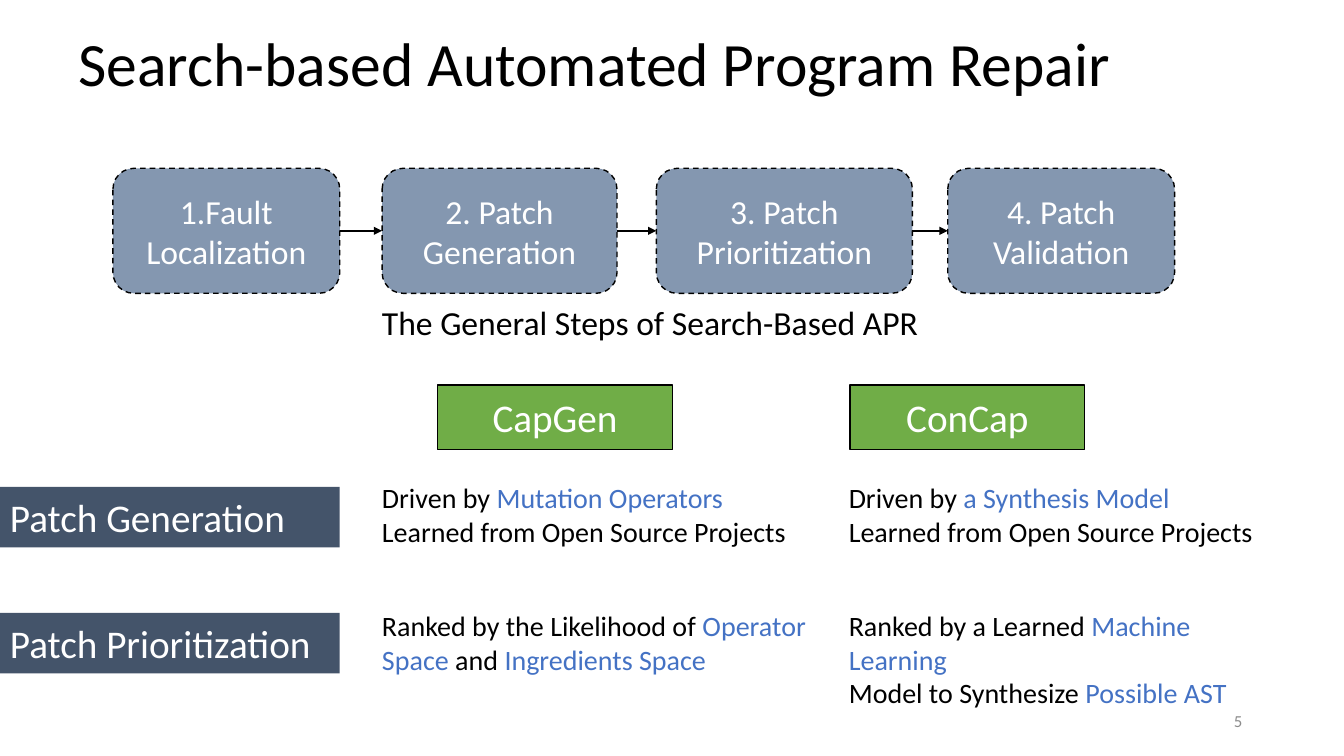
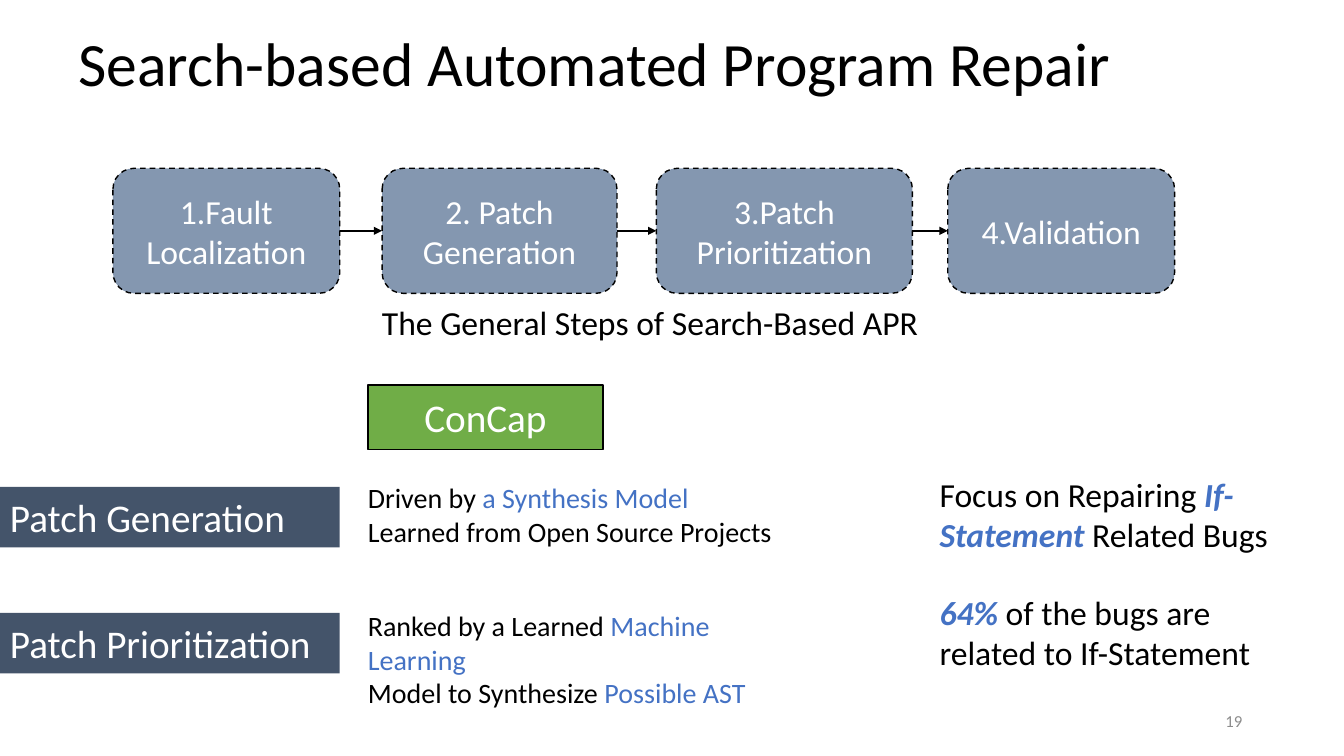
import pptx
import pptx.util
import pptx.dml.color
import pptx.enum.dml
import pptx.enum.shapes
import pptx.enum.text
import pptx.oxml
import pptx.oxml.ns

Inches = pptx.util.Inches
Pt = pptx.util.Pt
SHAPE = pptx.enum.shapes.MSO_SHAPE
ALIGN = pptx.enum.text.PP_ALIGN
MIDDLE = pptx.enum.text.MSO_ANCHOR.MIDDLE

FONT = "Calibri"
COLORS = {
    "text": "000000",
    "light": "FFFFFF",
    "accent": "4472C4",
    "step": "8497B0",
    "tool": "70AD47",
    "band": "44546A",
    "number": "8C8C8C",
}
STEPS = [(1.12, 2.25), (3.79, 2.33), (6.51, 2.54), (9.4, 2.25)]
BANDS = [(4.83, "Patch Generation"), (6.08, "Patch Prioritization")]
ROWS = [4.72, 5.99]
CAPGEN = [
    "Driven by *Mutation Operators*\nLearned from Open Source Projects",
    "Ranked by the Likelihood of *Operator*\n*Space* and *Ingredients Space*",
]
CONCAP = [
    "Driven by *a Synthesis Model*\nLearned from Open Source Projects",
    "Ranked by a Learned *Machine Learning*\nModel to Synthesize *Possible AST*",
]


def color(name):
    return pptx.dml.color.RGBColor.from_string(COLORS[name])


def write(frame, text, size, tone="text", align=ALIGN.LEFT, strong=False):
    """Write one paragraph a line; parts between asterisks are accented."""
    for i, line in enumerate(text.split("\n")):
        para = frame.add_paragraph() if i else frame.paragraphs[0]
        para.alignment = align
        for j, part in enumerate(line.split("*")):
            if not part:
                continue
            run = para.add_run()
            run.text = part
            font = run.font
            font.name, font.size = FONT, Pt(size)
            accent = j % 2 == 1
            font.color.rgb = color("accent" if accent else tone)
            if accent and strong:
                font.bold = font.italic = True


def label(slide, box, text, size, wrap=True, anchor=None, **style):
    frame = slide.shapes.add_textbox(*map(Inches, box)).text_frame
    frame.word_wrap = wrap
    if anchor is not None:
        frame.vertical_anchor = anchor
    write(frame, text, size, **style)
    return frame


def block(slide, kind, box, text, size, fill, align=ALIGN.CENTER, edge=True):
    shape = slide.shapes.add_shape(kind, *map(Inches, box))
    shape.shadow.inherit = False
    shape.fill.solid()
    shape.fill.fore_color.rgb = color(fill)
    frame = shape.text_frame
    frame.word_wrap = True
    frame.vertical_anchor = MIDDLE
    if edge:
        shape.line.color.rgb = color("text")
        shape.line.width = Pt(1)
        frame.margin_left = frame.margin_right = 0
    else:
        shape.line.fill.background()
    write(frame, text, size, "light", align)
    return shape


def arrow(slide, start, end):
    """Join the right side of one step to the left side of the next."""
    kind = pptx.enum.shapes.MSO_CONNECTOR.STRAIGHT
    link = slide.shapes.add_connector(kind, 0, 0, 0, 0)
    link.begin_connect(start, 3)
    link.end_connect(end, 1)
    link.line.color.rgb = color("text")
    link.line.width = Pt(1)
    tip = pptx.oxml.ns.qn("a:tailEnd")
    link.line._get_or_add_ln().append(
        pptx.oxml.parse_xml(
            f'<a:tailEnd {pptx.oxml.ns.nsdecls("a")} type="triangle"/>'
        )
    ) if link.line._ln.find(tip) is None else None
    link._element.spPr.append(
        pptx.oxml.parse_xml(f'<a:effectLst {pptx.oxml.ns.nsdecls("a")}/>')
    )


def flow(slide, names):
    last = None
    for (left, width), name in zip(STEPS, names):
        box = (left, 1.67, width, 1.24)
        step = block(slide, SHAPE.ROUNDED_RECTANGLE, box, name, 24, "step")
        step.line.dash_style = pptx.enum.dml.MSO_LINE.DASH
        if last is not None:
            arrow(slide, last, step)
        last = step
    label(slide, (3.69, 2.95, 5.66, 0.5),
          "The General Steps of Search-Based APR", 24, wrap=False)


def tool(slide, name, chip, left, notes):
    """Place a tool's name at chip and its notes, one a row, at left."""
    block(slide, SHAPE.RECTANGLE, (chip, 3.82, 2.33, 0.64), name, 28, "tool")
    for top, note in zip(ROWS, notes):
        width = 4.4 if top == ROWS[0] else 4.62
        label(slide, (left, top, width, 0.77), note, 20, wrap=False)


def base(deck, number, names):
    """Add a slide with the title, steps, bands and page number."""
    slide = deck.slides.add_slide(deck.slide_layouts[6])
    title = label(slide, (0.68, -0.12, 11.42, 1.57),
                  "Search-based Automated Program Repair", 44, anchor=MIDDLE)
    title.paragraphs[0].line_spacing = 0.9
    flow(slide, names)
    for top, name in BANDS:
        block(slide, SHAPE.RECTANGLE, (0, top, 3.37, 0.6), name, 28, "band",
              align=ALIGN.LEFT, edge=False)
    label(slide, (9.42, 6.95, 3, 0.4), number, 12, anchor=MIDDLE,
          tone="number", align=ALIGN.RIGHT)
    return slide


def main():
    deck = pptx.Presentation()
    deck.slide_width, deck.slide_height = Inches(13.33), Inches(7.5)
    first = ["1.Fault\nLocalization", "2. Patch\nGeneration"]

    slide = base(deck, "5", first + ["3. Patch Prioritization",
                                     "4. Patch\nValidation"])
    tool(slide, "CapGen", 4.34, 3.69, CAPGEN)
    tool(slide, "ConCap", 8.43, 8.32, CONCAP)

    slide = base(deck, "19", first + ["3.Patch Prioritization",
                                      "4.Validation"])
    tool(slide, "ConCap", 3.65, 3.55, CONCAP)
    label(slide, (9.22, 4.65, 4.11, 0.91),
          "Focus on Repairing *If-Statement *Related Bugs", 24, strong=True)
    label(slide, (9.22, 5.82, 3.52, 0.91),
          "*64% *of the bugs are related to If-Statement", 24, strong=True)

    deck.save("out.pptx")


if __name__ == "__main__":
    main()
